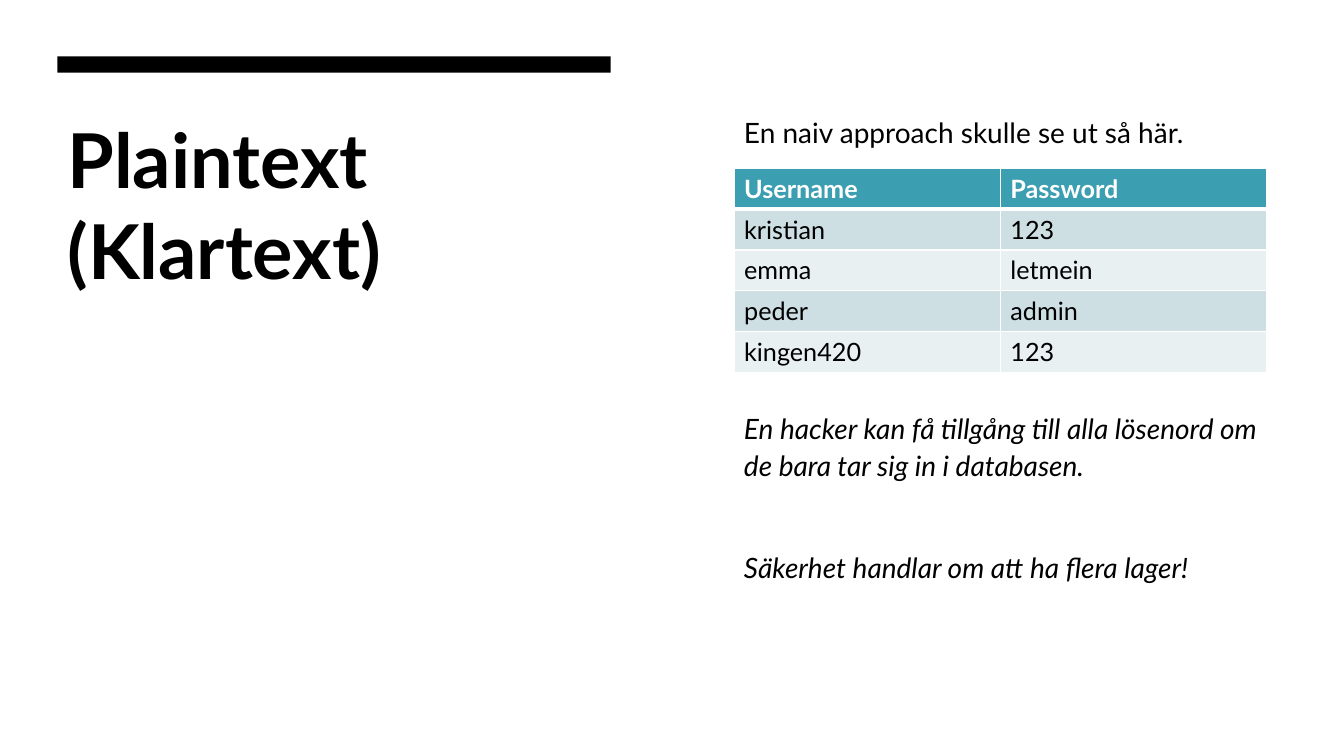
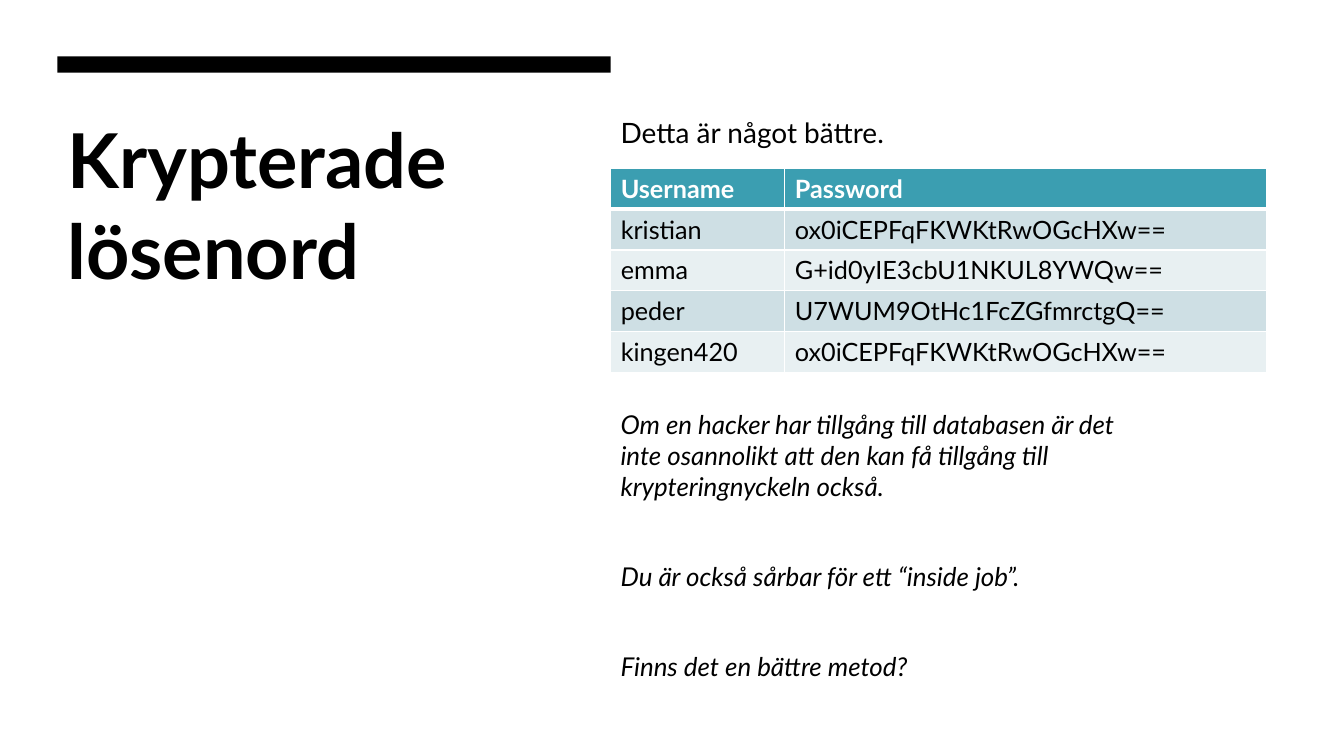
from pptx import Presentation
from pptx.dml.color import RGBColor
from pptx.enum.shapes import MSO_SHAPE
from pptx.oxml import parse_xml
from pptx.oxml.ns import nsdecls
from pptx.util import Cm, Pt

FONT = "Lato"
BLACK, WHITE, TEAL = "000000", "FFFFFF", "3B9EB1"
ROW_FILLS = ["E8F0F2", "CEDFE4"]
LEFT, COLUMN_WIDTH = 1.45, 13.94
ROW_HEIGHT = 1.03
USERS = ["kristian", "emma", "peder", "kingen420"]


def color(value):
    """Turn a hex string into a colour."""
    return RGBColor.from_string(value)


def write(frame, lines, size, ink=BLACK, bold=False, italic=False,
          line_spacing=1.0, before=0, gap=0):
    """Fill a text frame with lines, with a gap before all but the first."""
    frame.word_wrap = True
    frame.text = "\n".join(lines)
    for index, paragraph in enumerate(frame.paragraphs):
        paragraph.line_spacing = line_spacing
        paragraph.space_before = Pt(gap if index else before)
        for span in paragraph.runs:
            span.font.name = FONT
            span.font.size = Pt(size)
            span.font.bold = bold
            span.font.italic = italic
            span.font.color.rgb = color(ink)


slides = [
    {
        "title": "Plaintext (Klartext)",
        "intro": "En naiv approach skulle se ut så här.",
        "left": 18.5,
        "columns": [6.71, 6.71],
        "passwords": ["123", "letmein", "admin", "123"],
        "notes": [
            "En hacker kan få tillgång till alla lösenord om de bara tar sig in i databasen.",
            "Säkerhet handlar om att ha flera lager!",
        ],
        "notes_height": 6.07,
        "notes_size": 20,
        "notes_spacing": 1.1,
    },
    {
        "title": "Krypterade lösenord",
        "intro": "Detta är något bättre.",
        "left": 15.39,
        "columns": [4.39, 12.13],
        "passwords": [
            "ox0iCEPFqFKWKtRwOGcHXw==",
            "G+id0yIE3cbU1NKUL8YWQw==",
            "U7WUM9OtHc1FcZGfmrctgQ==",
            "ox0iCEPFqFKWKtRwOGcHXw==",
        ],
        "notes": [
            "Om en hacker har tillgång till databasen är det inte osannolikt "
            "att den kan få tillgång till krypteringnyckeln också.",
            "Du är också sårbar för ett “inside job”.",
            "Finns det en bättre metod?",
        ],
        "notes_height": 7.62,
        "notes_size": 18.5,
        "notes_spacing": 1.0,
    },
]

deck = Presentation()
deck.slide_width, deck.slide_height = Cm(33.87), Cm(19.05)

for content in slides:
    page = deck.slides.add_slide(deck.slide_layouts[6])
    left = Cm(content["left"])
    width = Cm(COLUMN_WIDTH)

    band = page.shapes.add_shape(MSO_SHAPE.RECTANGLE, Cm(LEFT), Cm(1.42), width, Cm(0.41))
    band.shadow.inherit = False
    band.fill.solid()
    band.fill.fore_color.rgb = color(BLACK)
    band.line.fill.background()

    title = page.shapes.add_textbox(Cm(LEFT), Cm(2.72), width, Cm(13.54))
    write(title.text_frame, [content["title"]], 54, bold=True)

    intro = page.shapes.add_textbox(left, Cm(2.69), width, Cm(1.55))
    write(intro.text_frame, [content["intro"]], 20, line_spacing=1.1, before=10)

    # Table of users and passwords
    rows = [("Username", "Password"), *zip(USERS, content["passwords"])]
    table = page.shapes.add_table(
        len(rows), 2, left, Cm(4.24),
        Cm(sum(content["columns"])), Cm(ROW_HEIGHT * len(rows))).table
    table.horz_banding = False
    for column, column_width in zip(table.columns, content["columns"]):
        column.width = Cm(column_width)
    for row_index, values in enumerate(rows):
        header = row_index == 0
        table.rows[row_index].height = Cm(ROW_HEIGHT)
        borders = {"lnL": 1, "lnR": 1,
                   "lnT": 3 if row_index == 1 else 1,
                   "lnB": 3 if header else 1}
        for column_index, value in enumerate(values):
            cell = table.cell(row_index, column_index)
            write(cell.text_frame, [value], 18, ink=WHITE if header else BLACK, bold=header)
            cell.fill.solid()
            cell.fill.fore_color.rgb = color(TEAL if header else ROW_FILLS[row_index % 2])
            properties = cell._tc.get_or_add_tcPr()
            for position, (side, points) in enumerate(borders.items()):
                properties.insert(position, parse_xml(
                    f'<a:{side} {nsdecls("a")} w="{Pt(points)}"><a:solidFill>'
                    f'<a:srgbClr val="{WHITE}"/></a:solidFill></a:{side}>'))

    # Each gap holds one line of text plus 10 points on either side
    size, spacing = content["notes_size"], content["notes_spacing"]
    notes = page.shapes.add_textbox(left, Cm(10.16), width, Cm(content["notes_height"]))
    write(notes.text_frame, content["notes"], size, italic=True,
          line_spacing=spacing, before=10, gap=20 + size * 1.2 * spacing)

deck.save("out.pptx")
